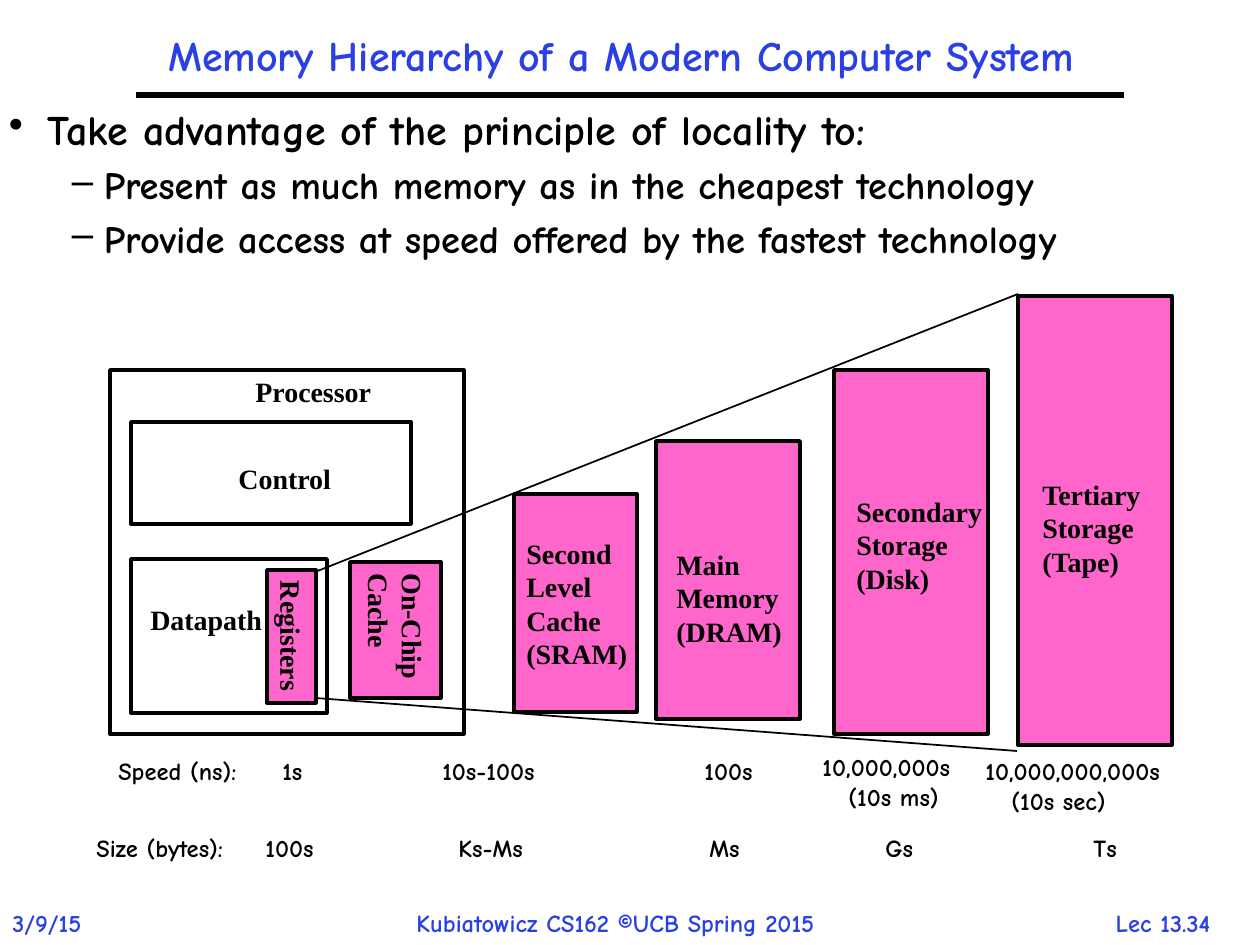
import pptx
import pptx.dml.color
import pptx.enum.shapes
import pptx.enum.text
import pptx.oxml.ns
import pptx.util
from lxml import etree

RGBColor = pptx.dml.color.RGBColor
BLUE = RGBColor(0x2A, 0x40, 0xE2)
PINK = RGBColor(0xFF, 0x66, 0xCC)
BLACK = RGBColor(0, 0, 0)
COMIC, TIMES = "Comic Neue", "Times New Roman"
PX = 914400 / 126
ALIGN = pptx.enum.text.PP_ALIGN

prs = pptx.Presentation()
prs.slide_width = round(1260 * PX)
prs.slide_height = round(945 * PX)
s = prs.slides.add_slide(prs.slide_layouts[5])


def emu(*lengths):
    return [round(n * PX) for n in lengths]


def write(sp, lines, size, font, color, wrap=False):
    """Fill a text shape with one bold paragraph per line."""
    tf = sp.text_frame
    tf.word_wrap = wrap
    tf.auto_size = pptx.enum.text.MSO_AUTO_SIZE.SHAPE_TO_FIT_TEXT
    tf.vertical_anchor = pptx.enum.text.MSO_ANCHOR.TOP
    for i, line in enumerate(lines):
        p = tf.add_paragraph() if i else tf.paragraphs[0]
        r = p.add_run()
        r.text = line
        r.font.size = pptx.util.Pt(size)
        r.font.name = font
        r.font.bold = True
        r.font.color.rgb = color
    return tf


# Title and bullets
title = s.shapes.title
title.left, title.top, title.width, title.height = emu(102, 31, 1038, 52)
bullets = s.shapes.add_textbox(*emu(0, 105, 1239, 163))
title_tf = write(title, ["Memory Hierarchy of a Modern Computer System"], 24, COMIC, BLUE)
title_tf.paragraphs[0].alignment = ALIGN.CENTER
body_tf = write(bullets, [
    "Take advantage of the principle of locality to:",
    "Present as much memory as in the cheapest technology",
    "Provide access at speed offered by the fastest technology",
], 24, COMIC, BLACK, wrap=True)
for tf in (title_tf, body_tf):
    tf.margin_left, tf.margin_top, tf.margin_right, tf.margin_bottom = emu(9, 4, 9, 4)
    for p in tf.paragraphs:
        p.line_spacing = 0.9
for i, p in enumerate(body_tf.paragraphs):
    if i:
        p.level = 1
        p.space_before = pptx.util.Pt(7)
        p.runs[0].font.size = pptx.util.Pt(22)
    margin, hang, mark = (95, 32, "–") if i else (39, 39, "•")
    pPr = p._p.get_or_add_pPr()
    pPr.set("marL", str(round(margin * PX)))
    pPr.set("indent", str(-round(hang * PX)))
    etree.SubElement(pPr, pptx.oxml.ns.qn("a:buChar")).set("char", mark)

# Boxes: place, fill
for x, y, w, h, fill in [
    (350, 562, 91, 136, PINK),      # on-chip cache
    (267, 570, 49, 133, PINK),      # registers
    (131, 422, 280, 102, None),     # control
    (131, 559, 196, 154, None),     # datapath
    (834, 370, 154, 364, PINK),     # secondary storage
    (110, 370, 354, 364, None),     # processor
    (514, 494, 123, 218, PINK),     # second level cache
    (656, 441, 144, 278, PINK),     # main memory
    (1018, 296, 154, 449, PINK),    # tertiary storage
]:
    sp = s.shapes.add_shape(pptx.enum.shapes.MSO_SHAPE.RECTANGLE, *emu(x, y, w, h))
    sp.shadow.inherit = False
    if fill is None:
        sp.fill.background()
    else:
        sp.fill.solid()
        sp.fill.fore_color.rgb = fill
    sp.line.color.rgb = BLACK
    sp.line.width = pptx.util.Pt(2)

# Title rule and the two spreading lines
for x1, y1, x2, y2, width in [
    (136, 95, 1124, 95, 3),
    (315, 572, 1018, 294, 1),
    (315, 698, 1017, 751, 1),
]:
    line = s.shapes.add_connector(
        pptx.enum.shapes.MSO_CONNECTOR.STRAIGHT, *emu(x1, y1, x2, y2))
    line.line.color.rgb = BLACK
    line.line.width = pptx.util.Pt(width)
    etree.SubElement(line._element.spPr, pptx.oxml.ns.qn("a:effectLst"))

# Names of the parts
for x, y, w, h, turn, lines in [
    (331, 587, 131, 79, 90, ["On-Chip", "Cache"]),
    (224, 614, 136, 45, 90, ["Registers"]),
    (226, 455, 118, 45, 0, ["Control"]),
    (138, 596, 137, 45, 0, ["Datapath"]),
    (243, 368, 141, 45, 0, ["Processor"]),
    (844, 488, 151, 113, 0, ["Secondary", "Storage", "(Disk)"]),
    (664, 541, 131, 113, 0, ["Main", "Memory", "(DRAM)"]),
    (514, 530, 126, 147, 0, ["Second", "Level", "Cache", "(SRAM)"]),
    (1030, 471, 126, 113, 0, ["Tertiary", "Storage", "(Tape)"]),
]:
    sp = s.shapes.add_textbox(*emu(x, y, w, h))
    sp.rotation = turn
    write(sp, lines, 16, TIMES, BLACK)

# Speed and size rows
SPEED_Y, SIZE_Y = 750, 827
for x, y, w, lines in [
    (106, SPEED_Y, 161, ["Speed (ns):"]),
    (270, SPEED_Y, 52, ["1s"]),
    (430, SPEED_Y, 139, ["10s-100s"]),
    (692, SPEED_Y, 117, ["100s"]),
    (810, SPEED_Y - 4, 180, ["10,000,000s", "(10s ms)"]),
    (973, SPEED_Y, 246, ["10,000,000,000s", "(10s sec)"]),
    (84, SIZE_Y, 180, ["Size (bytes):"]),
    (253, SIZE_Y, 82, ["100s"]),
    (446, SIZE_Y, 101, ["Ks-Ms"]),
    (697, SIZE_Y, 81, ["Ms"]),
    (873, SIZE_Y, 54, ["Gs"]),
    (1081, SIZE_Y, 54, ["Ts"]),
]:
    sp = s.shapes.add_textbox(*emu(x, y, w, 42 if len(lines) == 1 else 71))
    tf = write(sp, lines, 14, COMIC, BLACK, wrap=len(lines) > 1)
    for p in tf.paragraphs[1:]:
        p._p.get_or_add_pPr().set("marL", str(round(26 * PX)))

# Footer
for x, w, text, align in [
    (0, 111, "3/9/15", ALIGN.LEFT),
    (404, 488, "Kubiatowicz CS162 ©UCB Spring 2015", ALIGN.LEFT),
    (1079, 168, "Lec 13.34", ALIGN.CENTER),
]:
    sp = s.shapes.add_textbox(*emu(x, 902, w, 42))
    write(sp, [text], 14, COMIC, BLUE).paragraphs[0].alignment = align

prs.save("out.pptx")
